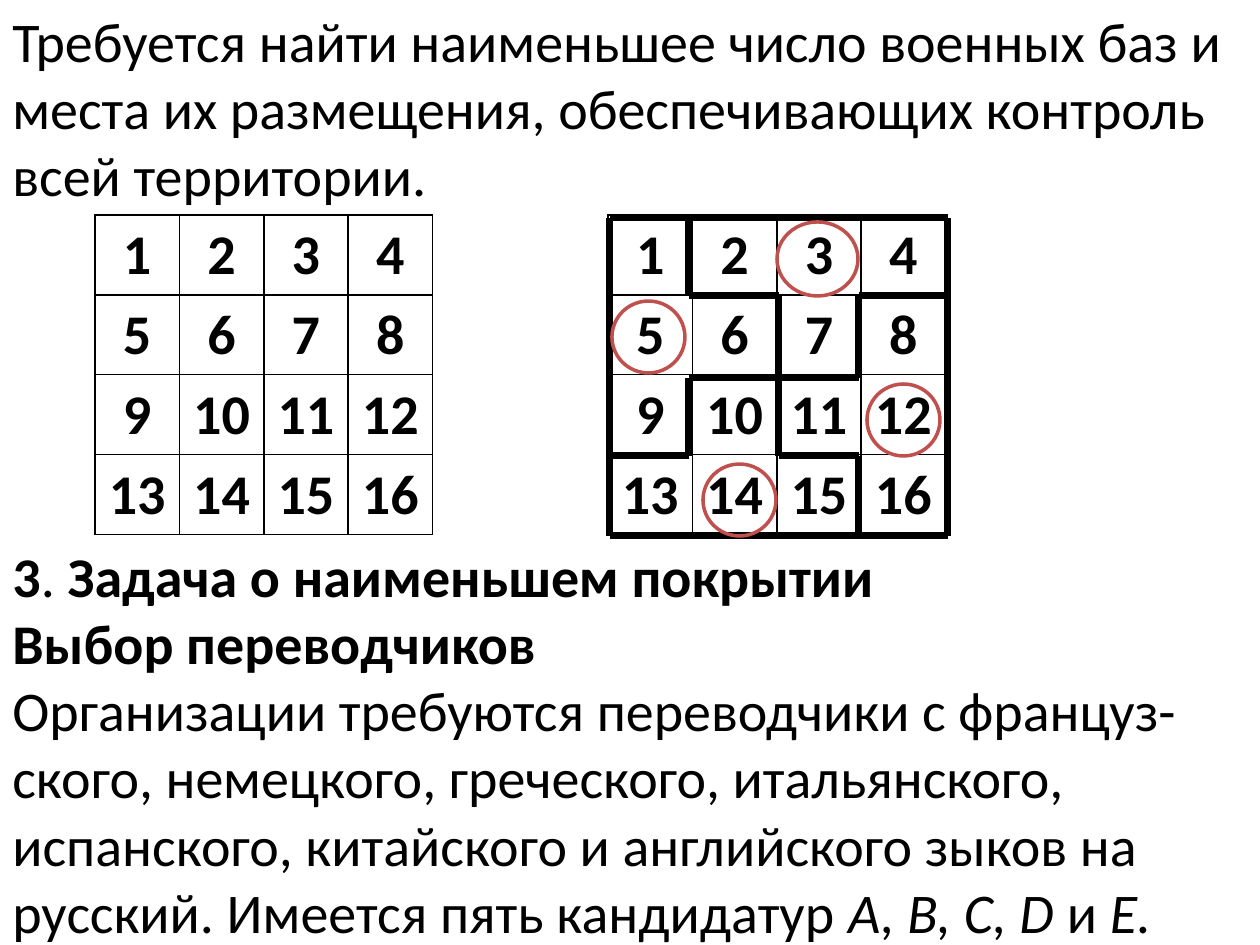
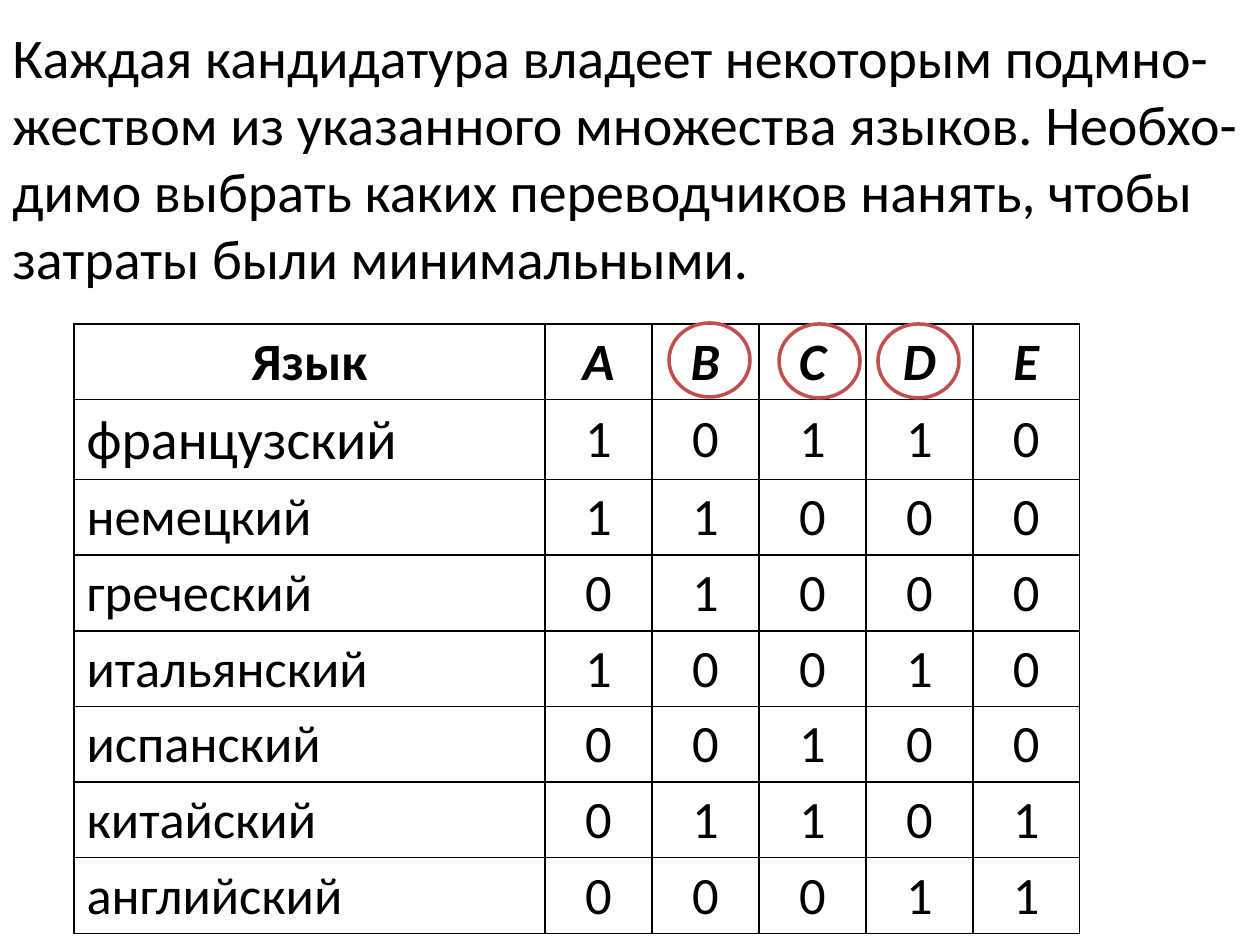
from pptx import Presentation
from pptx.dml.color import RGBColor
from pptx.enum.shapes import MSO_CONNECTOR, MSO_SHAPE
from pptx.enum.text import MSO_ANCHOR, MSO_AUTO_SIZE, PP_ALIGN
from pptx.oxml.ns import qn
from pptx.util import Emu, Pt
from lxml.etree import SubElement

COLORS = {"ink": "000000", "paper": "FFFFFF", "mark": "C0504D"}
FONT = "Calibri"
BODY_SIZE = 32
TABLE_SIZE = 30
SLIDE_W, SLIDE_H = 1260, 945

BOLD, ITALIC = {"bold": True}, {"italic": True}

TERRITORY = [[str(4 * row + col + 1) for col in range(4)] for row in range(4)]
# Zone borders run between grid nodes (column, row)
NODE_X = (2, 81, 171, 251, 340)
NODE_Y = (3, 81, 163, 241, 321)
ZONE_BORDERS = [
    ((0, 0), (4, 0)), ((0, 0), (0, 4)), ((4, 0), (4, 4)), ((0, 4), (4, 4)),
    ((2, 1), (2, 3)), ((1, 2), (3, 2)), ((1, 2), (1, 3)), ((3, 1), (3, 2)),
    ((1, 0), (1, 1)), ((3, 3), (3, 4)), ((1, 1), (2, 1)), ((3, 1), (4, 1)),
    ((2, 3), (3, 3)), ((0, 3), (1, 3)),
]
LARGE_RING, SMALL_RING = (81, 74), (73, 72)
BASES = [(169, 7, LARGE_RING), (259, 169, SMALL_RING),
         (95, 249, SMALL_RING), (4, 86, SMALL_RING)]

CANDIDATES = "ABCDE"
SKILLS = {
    "французский": "10110",
    "немецкий": "11000",
    "греческий": "01000",
    "итальянский": "10010",
    "испанский": "00100",
    "китайский": "01101",
    "английский": "00011",
}
HIRED = [(595, -1), (705, 0), (804, 0)]


def px(*lengths):
    return [Emu(round(n * 914400 / 126)) for n in lengths]


def color(name):
    return RGBColor.from_string(COLORS[name])


def add_run(p, text, size=BODY_SIZE, **formats):
    r = p.add_run()
    r.text = text
    r.font.color.rgb = color("ink")
    for name, value in {"name": FONT, "size": Pt(size), **formats}.items():
        setattr(r.font, name, value)


def add_text(s, box, paragraphs):
    """Each paragraph is a list of (text, formats) runs."""
    tf = s.shapes.add_textbox(*px(*box)).text_frame
    tf.word_wrap = True
    tf.auto_size = MSO_AUTO_SIZE.SHAPE_TO_FIT_TEXT
    for i, runs in enumerate(paragraphs):
        p = tf.add_paragraph() if i else tf.paragraphs[0]
        for text, formats in runs:
            add_run(p, text, **formats)


def add_border(cell):
    tcPr = cell._tc.get_or_add_tcPr()
    for side in ("a:lnL", "a:lnR", "a:lnT", "a:lnB"):
        ln = SubElement(tcPr, qn(side), w=str(Pt(1)))
        fill = SubElement(ln, qn("a:solidFill"))
        SubElement(fill, qn("a:srgbClr"), val=COLORS["ink"])


def add_ruled_table(s, left, top, widths, heights):
    size = px(left, top, sum(widths), sum(heights))
    table = s.shapes.add_table(len(heights), len(widths), *size).table
    table.first_row = table.horz_banding = False
    for column, width in zip(table.columns, px(*widths)):
        column.width = width
    for row, height in zip(table.rows, px(*heights)):
        row.height = height
    for cell in table.iter_cells():
        add_border(cell)
        cell.fill.background()
    return table


def fill_cell(cell, text, align=PP_ALIGN.CENTER, anchor=MSO_ANCHOR.MIDDLE, **formats):
    cell.vertical_anchor = anchor
    p = cell.text_frame.paragraphs[0]
    p.alignment = align
    add_run(p, text, **formats)


def add_ring(s, left, top, size):
    ring = s.shapes.add_shape(MSO_SHAPE.OVAL, *px(left, top, *size))
    ring.shadow.inherit = False
    ring.fill.background()
    ring.line.color.rgb = color("mark")
    ring.line.width = Pt(2)


def add_territory(s, left, top):
    table = add_ruled_table(s, left, top, [84.4] * 4, [79] * 4)
    for row, numbers in enumerate(TERRITORY):
        for col, number in enumerate(numbers):
            cell = table.cell(row, col)
            anchor = MSO_ANCHOR.TOP if row else MSO_ANCHOR.MIDDLE
            fill_cell(cell, number, anchor=anchor, bold=True)
            cell.fill.solid()
            cell.fill.fore_color.rgb = color("paper")


def add_zones(s, left, top):
    for nodes in ZONE_BORDERS:
        ends = [n for col, row in nodes for n in (left + NODE_X[col], top + NODE_Y[row])]
        line = s.shapes.add_connector(MSO_CONNECTOR.STRAIGHT, *px(*ends))
        line.line.color.rgb = color("ink")
        line.line.width = Pt(4)
        SubElement(line._element.spPr, qn("a:effectLst"))
    for x, y, size in BASES:
        add_ring(s, left + x, top + y, size)


def add_skills(s, left, top):
    table = add_ruled_table(s, left, top, [471] + [107] * 5, [75, 79] + [75] * 6)
    fill_cell(table.cell(0, 0), "Язык", size=TABLE_SIZE, bold=True)
    for col, candidate in enumerate(CANDIDATES, 1):
        fill_cell(table.cell(0, col), candidate, size=TABLE_SIZE, bold=True, italic=True)
    for row, (language, marks) in enumerate(SKILLS.items(), 1):
        size = BODY_SIZE if row == 1 else TABLE_SIZE
        fill_cell(table.cell(row, 0), language, PP_ALIGN.LEFT, size=size)
        for col, mark in enumerate(marks, 1):
            fill_cell(table.cell(row, col), mark, size=TABLE_SIZE)
    for x, y in HIRED:
        add_ring(s, left + x, top + y, LARGE_RING)


def build_bases_slide(s):
    add_text(s, (0, 0, SLIDE_W, 217), [[(
        "Требуется найти наименьшее число военных баз и места их размещения, "
        "обеспечивающих контроль всей территории.", {})]])
    add_territory(s, 95, 215)
    add_territory(s, 608, 215)
    add_zones(s, 608, 215)
    add_text(s, (0, 535, SLIDE_W, 420), [
        [("3", BOLD), (". ", {}), ("Задача о наименьшем покрытии", BOLD)],
        [("Выбор переводчиков", BOLD)],
        [("Организации требуются переводчики с француз-ского, немецкого, "
          "греческого, итальянского, испанского, китайского и английского "
          "зыков на русский. Имеется пять кандидатур", {}),
         (" A, B, C, D", ITALIC), (" и ", {}), ("E.", ITALIC)],
    ])


def build_translators_slide(s):
    add_text(s, (0, 16, SLIDE_W, 285), [[(
        "Каждая кандидатура владеет некоторым подмно-жеством из указанного "
        "множества языков. Необхо-димо выбрать каких переводчиков нанять, "
        "чтобы затраты были минимальными.", {})]])
    add_skills(s, 74, 324)


def main():
    prs = Presentation()
    prs.slide_width, prs.slide_height = px(SLIDE_W, SLIDE_H)
    for build in (build_bases_slide, build_translators_slide):
        build(prs.slides.add_slide(prs.slide_layouts[6]))
    prs.save("out.pptx")


if __name__ == "__main__":
    main()
